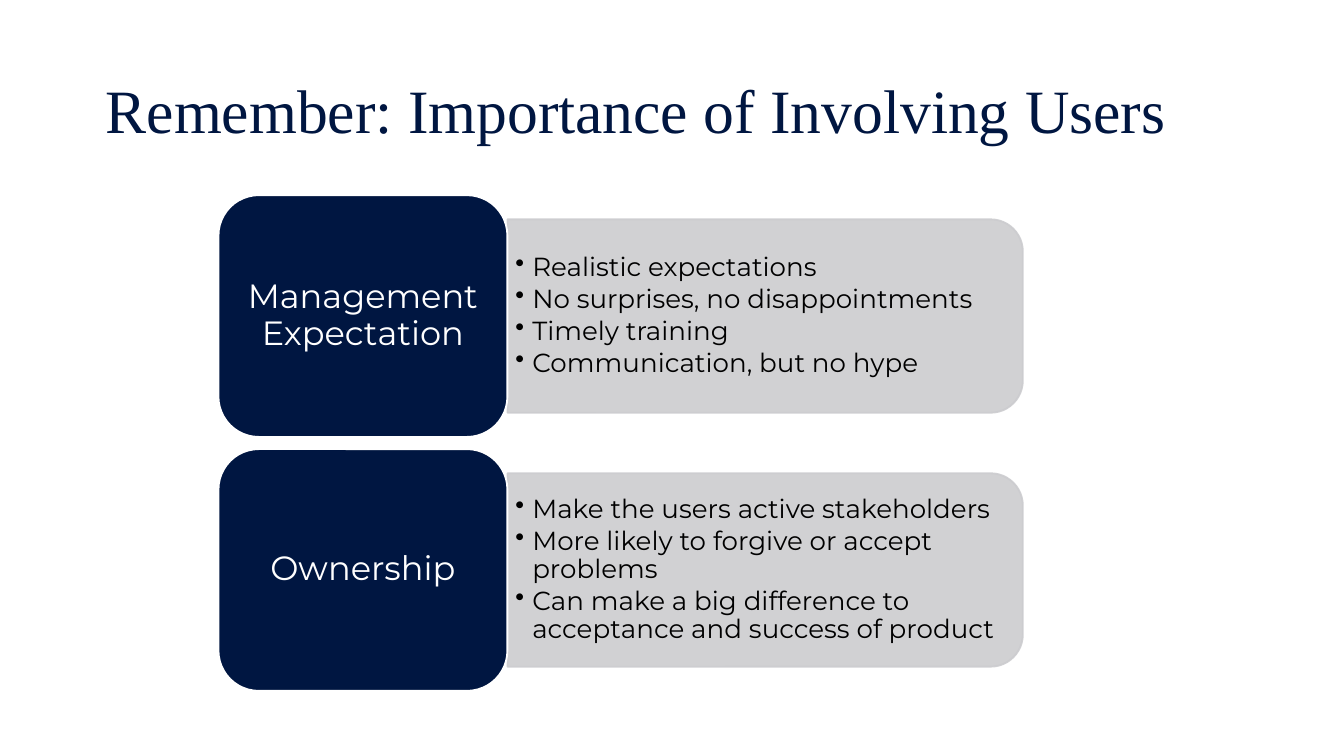
from lxml import etree
from pptx import Presentation
from pptx import util as u
from pptx.dml.color import RGBColor
from pptx.enum import shapes, text
from pptx.oxml.ns import qn

COLORS = {"navy": "001641", "gray": "CCCCCF", "white": "FFFFFF", "black": "000000"}
THEMES = [
    ("Management Expectation", [
        "Realistic expectations",
        "No surprises, no disappointments",
        "Timely training",
        "Communication, but no hype",
    ]),
    ("Ownership", [
        "Make the users active stakeholders",
        "More likely to forgive or accept problems",
        "Can make a big difference to acceptance and success of product",
    ]),
]


def rgb(name):
    return RGBColor.from_string(COLORS[name])


def write(frame, lines, font, size, color, align, space_after=0, insets=(0.25, 0.13)):
    frame.word_wrap = True
    frame.vertical_anchor = text.MSO_ANCHOR.MIDDLE
    frame.margin_left = frame.margin_right = u.Cm(insets[0])
    frame.margin_top = frame.margin_bottom = u.Cm(insets[1])
    for index, line in enumerate(lines):
        paragraph = frame.paragraphs[0] if index == 0 else frame.add_paragraph()
        paragraph.text = line
        paragraph.alignment = align
        paragraph.line_spacing = 0.9
        paragraph.space_after = u.Pt(space_after)
        paragraph.font.name = font
        paragraph.font.size = u.Pt(size)
        paragraph.font.color.rgb = rgb(color)


def add_bullets(frame, indent):
    for paragraph in frame.paragraphs:
        properties = paragraph._p.get_or_add_pPr()
        properties.set("marL", str(u.Cm(indent)))
        properties.set("indent", str(-u.Cm(indent)))
        bullet = etree.Element(qn("a:buChar"), char="•")
        properties.find(qn("a:defRPr")).addprevious(bullet)


def paint(shape, fill, line, opacity=100):
    shape.shadow.inherit = False
    shape.fill.solid()
    shape.fill.fore_color.rgb = rgb(fill)
    shape.line.color.rgb = rgb(line)
    shape.line.width = u.Pt(1)
    if opacity < 100:
        for color in shape._element.spPr.iter(qn("a:srgbClr")):
            etree.SubElement(color, qn("a:alpha"), val=str(opacity * 1000))


def add_title(slide, left, top, width, height):
    title = slide.shapes.add_textbox(u.Cm(left), u.Cm(top), u.Cm(width), u.Cm(height))
    write(title.text_frame, ["Remember: Importance of Involving Users"],
          "Times New Roman", 33, "navy", text.PP_ALIGN.LEFT)


def add_theme(slide, left, top, width, height, name, points):
    label_width = 5.46
    panel_left = left + label_width
    panel_width, panel_height = width - label_width, height * 0.8
    middle = top + height / 2

    panel = slide.shapes.add_shape(
        shapes.MSO_SHAPE.ROUND_2_SAME_RECTANGLE,
        u.Cm(panel_left + (panel_width - panel_height) / 2),
        u.Cm(middle - panel_width / 2),
        u.Cm(panel_height), u.Cm(panel_width))
    panel.rotation = 90
    paint(panel, "gray", "gray", opacity=90)

    details_height = 3.3
    details = slide.shapes.add_textbox(
        u.Cm(panel_left), u.Cm(middle - details_height / 2),
        u.Cm(panel_width - 0.18), u.Cm(details_height))
    write(details.text_frame, points, "Montserrat", 14, "black",
          text.PP_ALIGN.LEFT, space_after=2.1, insets=(0.15, 0.07))
    add_bullets(details.text_frame, 0.32)

    label = slide.shapes.add_shape(
        shapes.MSO_SHAPE.ROUNDED_RECTANGLE,
        u.Cm(left), u.Cm(top), u.Cm(label_width), u.Cm(height))
    paint(label, "navy", "white")
    write(label.text_frame, [name], "Montserrat", 18, "white",
          text.PP_ALIGN.CENTER, space_after=6.3, insets=(0.18, 0.1))


def add_themes(slide, left, top, width, height, gap):
    row_height = (height - gap * (len(THEMES) - 1)) / len(THEMES)
    for row, (name, points) in enumerate(THEMES):
        add_theme(slide, left, top + row * (row_height + gap),
                  width, row_height, name, points)


def main():
    deck = Presentation()
    deck.slide_width, deck.slide_height = u.Cm(25.4), u.Cm(14.29)
    slide = deck.slides.add_slide(deck.slide_layouts[6])
    add_title(slide, 1.75, 0.76, 21.9, 2.77)
    add_themes(slide, 4.13, 3.69, 15.2, 9.37, 0.23)
    deck.save("out.pptx")


if __name__ == "__main__":
    main()
